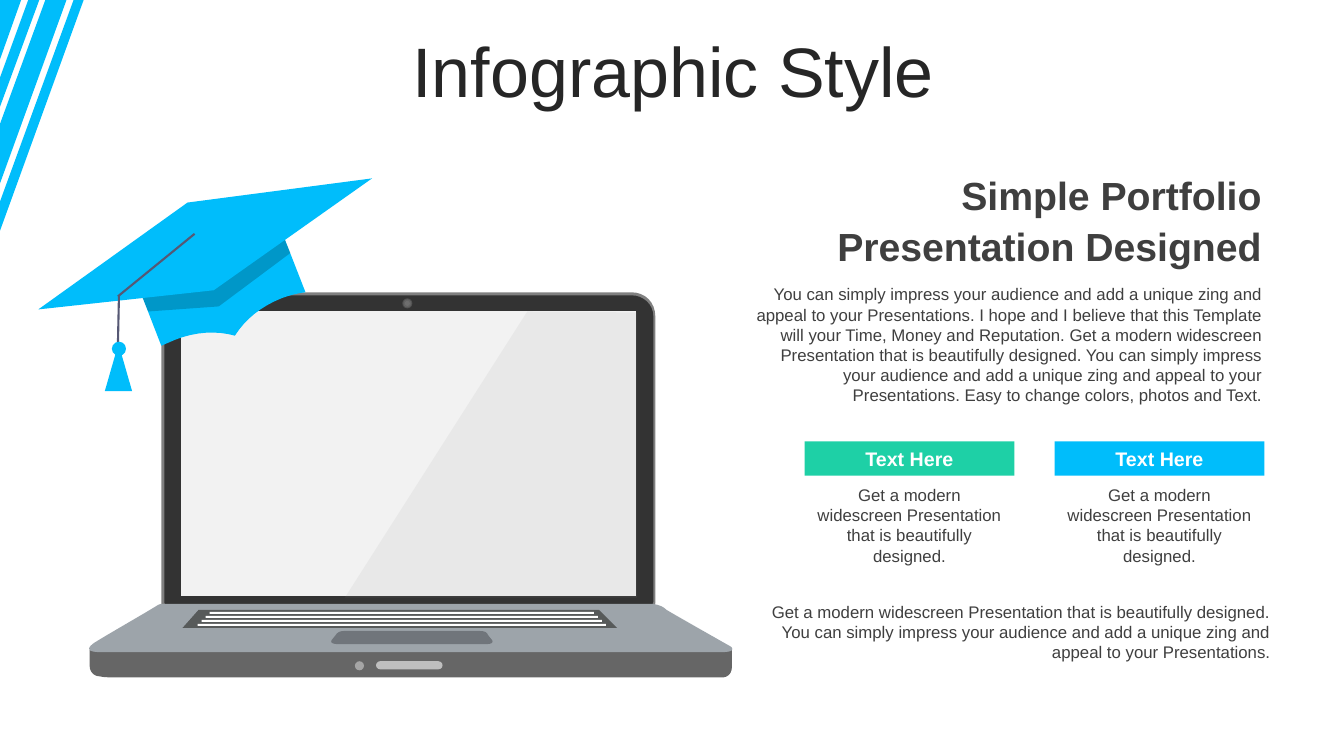
from dataclasses import dataclass
from lxml.etree import SubElement
from pptx import Presentation
from pptx.dml.color import RGBColor
from pptx.enum.shapes import MSO_CONNECTOR, MSO_SHAPE
from pptx.enum.text import MSO_ANCHOR, PP_ALIGN
from pptx.oxml.ns import qn
from pptx.shapes.base import BaseShape
from pptx.shapes.shapetree import SlideShapes
from pptx.text.text import TextFrame
from pptx.util import Inches, Pt

BLUE, GREEN, DARK, WHITE = "00BDFB", "1ED0A6", "3F3F3F", "FFFFFF"
STEPS = 8


@dataclass
class Outline:
    trace: str
    color: str
    alpha: int = 100


@dataclass
class Form:
    kind: MSO_SHAPE
    box: tuple[float, float, float, float]
    color: str
    alpha: int = 100


@dataclass
class Label:
    text: str
    box: tuple[float, float, float, float]
    size: int = 12
    align: PP_ALIGN = PP_ALIGN.RIGHT
    color: str = DARK
    bold: bool = False
    spacing: float = 1.0
    anchor: MSO_ANCHOR = MSO_ANCHOR.TOP


@dataclass
class Card:
    left: float
    color: str


STRIPES = Outline(
    "M .73 0 L .83 0 L 0 2.29 L 0 2 Z M .39 0 L 0 1.06 L 0 .77 L .28 0 Z "
    "M .66 0 L 0 1.82 L 0 1.23 L .45 0 Z M 0 0 L .21 0 L 0 .59 Z", BLUE)

LAPTOP = [
    Outline("M 6.44 6.04 L 1.66 6.04 C 1.63 6.04 1.6 6.01 1.6 5.98 L 1.6 3.14 "
            "C 1.6 3 1.71 2.9 1.84 2.9 L 6.26 2.9 C 6.4 2.9 6.5 3 6.5 3.14 "
            "L 6.5 5.98 C 6.5 6.01 6.47 6.04 6.44 6.04 Z", "808080"),
    Outline("M 6.41 6.03 L 1.69 6.03 C 1.66 6.03 1.63 6 1.63 5.97 L 1.63 3.14 "
            "C 1.63 3.02 1.73 2.93 1.84 2.93 L 6.26 2.93 C 6.38 2.93 6.48 3.02 6.48 3.14 "
            "L 6.48 5.97 C 6.47 6.01 6.44 6.03 6.41 6.03 Z", "333333"),
    Outline("M 1.8 3.09 L 6.31 3.09 L 6.31 5.91 L 1.8 5.91 Z", "F2F2F2"),
    Outline("M 7.26 6.61 C 7.26 6.72 7.17 6.72 7.17 6.72 C 7.17 6.72 1.38 6.72 1.15 6.72 "
            "C 1.08 6.72 1.03 6.72 .99 6.71 C .93 6.71 .89 6.66 .89 6.61 "
            "L .89 6.45 L 6.58 6.44 L 7.26 6.44 Z", "666666"),
    Outline("M 7.14 6.47 L 1.01 6.47 C .99 6.47 .91 6.47 .89 6.45 C .88 6.43 .88 6.42 .93 6.38 "
            "C 1.04 6.31 1.46 6.07 1.57 6 L 1.6 5.99 L 6.47 5.99 L 6.52 6 "
            "C 6.55 6.01 6.58 6.02 6.61 6.05 C 6.71 6.11 7.24 6.41 7.24 6.41 "
            "C 7.24 6.41 7.26 6.42 7.26 6.43 C 7.27 6.45 7.26 6.47 7.14 6.47 Z", "9DA4AA"),
    Outline("M 3.41 6.26 C 3.38 6.26 3.35 6.27 3.33 6.3 L 3.29 6.35 "
            "C 3.29 6.35 3.25 6.4 3.4 6.39 L 4.78 6.39 C 4.92 6.4 4.88 6.35 4.88 6.35 "
            "L 4.84 6.3 C 4.83 6.27 4.8 6.26 4.76 6.26 Z", "70757B"),
    Outline("M 6.12 6.23 L 1.81 6.23 L 1.97 6.05 L 5.94 6.05 Z", "575A5A"),
    Outline("M 5.23 3.09 L 6.32 3.1 L 6.32 5.93 L 3.42 5.93 Z", "999999", 10),
]

KEYS = [Form(MSO_SHAPE.RECTANGLE, (2.08 - 0.04 * row, 6.07 + 0.04 * row, 3.81 + 0.08 * row, 0.02), WHITE)
        for row in range(4)]
LENS = [Form(MSO_SHAPE.OVAL, (4.04 - size / 2, 3.01 - size / 2, size, size), "7F7F7F", 40)
        for size in (0.1, 0.08, 0.05)]
LIGHTS = [
    Form(MSO_SHAPE.ROUNDED_RECTANGLE, (3.73, 6.56, 0.66, 0.08), "BFBFBF"),
    Form(MSO_SHAPE.OVAL, (3.52, 6.56, 0.09, 0.09), "A5A5A5"),
]

CAP = [
    Outline("M 2.71 2.08 L 1.29 2.63 L 1.6 3.43 C 1.65 3.41 1.69 3.39 1.74 3.37 "
            "C 1.94 3.29 2.15 3.28 2.33 3.33 C 2.43 3.17 2.59 3.04 2.79 2.96 "
            "C 2.87 2.93 2.95 2.91 3.03 2.9 Z", BLUE),
    Outline("M 2.78 2.27 L 1.36 2.82 L 1.47 3.09 L 2.17 3.04 L 2.88 2.51 Z", "000000", 20),
    Outline("M 1.86 2.01 L 3.69 1.77 L 2.12 2.88 L .38 3.07 Z", BLUE),
]
CORDS = [(1.93, 2.32, 1.17, 2.94), (1.18, 2.93, 1.17, 3.41)]
TASSEL = [
    Form(MSO_SHAPE.ISOSCELES_TRIANGLE, (1.04, 3.41, 0.27, 0.47), BLUE),
    Form(MSO_SHAPE.OVAL, (1.11, 3.39, 0.14, 0.14), BLUE),
]

IMPRESS = "You can simply impress your audience and add a unique zing and appeal to your Presentations."
MODERN = "Get a modern widescreen Presentation that is beautifully designed."
LABELS = [
    Label("Infographic Style", (0.35, 0.37, 12.66, 0.79), 50, PP_ALIGN.CENTER, "262626",
          spacing=0.8, anchor=MSO_ANCHOR.MIDDLE),
    Label("Simple Portfolio Presentation Designed", (7.9, 1.6, 4.71, 1.1), 28, bold=True, spacing=1.1),
    Label(f"{IMPRESS} I hope and I believe that this Template will your Time, Money and Reputation. "
          f"{MODERN} {IMPRESS} Easy to change colors, photos and Text.", (7.35, 2.77, 5.27, 1.31)),
    Label(f"{MODERN} {IMPRESS}", (7.43, 5.92, 5.27, 0.71)),
]
CARDS = [Card(7.98, GREEN), Card(10.46, BLUE)]


def tint(code: str) -> RGBColor:
    return RGBColor.from_string(code)


def paint(shape: BaseShape, color: str, alpha: int = 100) -> None:
    shape.shadow.inherit = False
    shape.fill.solid()
    shape.fill.fore_color.rgb = tint(color)
    shape.line.fill.background()
    if alpha < 100:
        tone = shape.element.spPr.find(qn("a:solidFill"))[0]
        SubElement(tone, qn("a:alpha")).set("val", str(alpha * 1000))


def curve(ends: list[tuple[float, float]]) -> list[tuple[float, float]]:
    points = []
    for step in range(1, STEPS + 1):
        t = step / STEPS
        parts = ((1 - t) ** 3, 3 * t * (1 - t) ** 2, 3 * t * t * (1 - t), t ** 3)
        points.append(tuple(sum(p * end[axis] for p, end in zip(parts, ends)) for axis in (0, 1)))
    return points


def contours(trace: str) -> list[list[tuple[float, float]]]:
    loops = []
    marks = iter(trace.split())
    counts = {"M": 1, "L": 1, "C": 3, "Z": 0}
    for mark in marks:
        ends = [(float(next(marks)), float(next(marks))) for _ in range(counts[mark])]
        if mark == "M":
            loops.append(ends)
        elif mark == "C":
            loops[-1].extend(curve([loops[-1][-1], *ends]))
        else:
            loops[-1].extend(ends)
    return loops


def draw_outline(shapes: SlideShapes, item: Outline) -> None:
    loops = [[(Inches(x), Inches(y)) for x, y in loop] for loop in contours(item.trace)]
    pen = shapes.build_freeform(*loops[0][0])
    for loop in loops:
        pen.move_to(*loop[0])
        pen.add_line_segments(loop[1:], close=True)
    paint(pen.convert_to_shape(), item.color, item.alpha)


def draw_form(shapes: SlideShapes, item: Form) -> BaseShape:
    shape = shapes.add_shape(item.kind, *map(Inches, item.box))
    paint(shape, item.color, item.alpha)
    if item.kind == MSO_SHAPE.ROUNDED_RECTANGLE:
        shape.adjustments[0] = 0.5
    return shape


def draw_cord(shapes: SlideShapes, ends: tuple[float, float, float, float]) -> None:
    cord = shapes.add_connector(MSO_CONNECTOR.STRAIGHT, *map(Inches, ends))
    cord.line.color.rgb = tint("565874")
    cord.line.width = Pt(1.5)
    SubElement(cord.element.spPr, qn("a:effectLst"))


def write(frame: TextFrame, item: Label) -> None:
    frame.word_wrap = True
    frame.vertical_anchor = item.anchor
    line = frame.paragraphs[0]
    line.text = item.text
    line.alignment = item.align
    line.line_spacing = item.spacing
    line.font.name = "Arial"
    line.font.size = Pt(item.size)
    line.font.bold = item.bold
    line.font.color.rgb = tint(item.color)


def draw_label(shapes: SlideShapes, item: Label) -> None:
    write(shapes.add_textbox(*map(Inches, item.box)).text_frame, item)


def draw_card(shapes: SlideShapes, item: Card) -> None:
    box = (item.left, 4.38, 2.08, 0.34)
    head = draw_form(shapes, Form(MSO_SHAPE.RECTANGLE, box, item.color))
    write(head.text_frame, Label("Text Here", box, 14, PP_ALIGN.CENTER, WHITE, True))
    draw_label(shapes, Label(MODERN, (item.left, 4.76, 2.08, 0.91), align=PP_ALIGN.CENTER))


def main() -> None:
    deck = Presentation()
    deck.slide_width, deck.slide_height = Inches(13.33), Inches(7.5)
    shapes = deck.slides.add_slide(deck.slide_layouts[6]).shapes
    for item in [STRIPES, *LAPTOP]:
        draw_outline(shapes, item)
    for item in KEYS + LENS + LIGHTS:
        draw_form(shapes, item)
    for item in LABELS:
        draw_label(shapes, item)
    for item in CARDS:
        draw_card(shapes, item)
    for item in CAP:
        draw_outline(shapes, item)
    for ends in CORDS:
        draw_cord(shapes, ends)
    for item in TASSEL:
        draw_form(shapes, item)
    deck.save("out.pptx")


if __name__ == "__main__":
    main()
